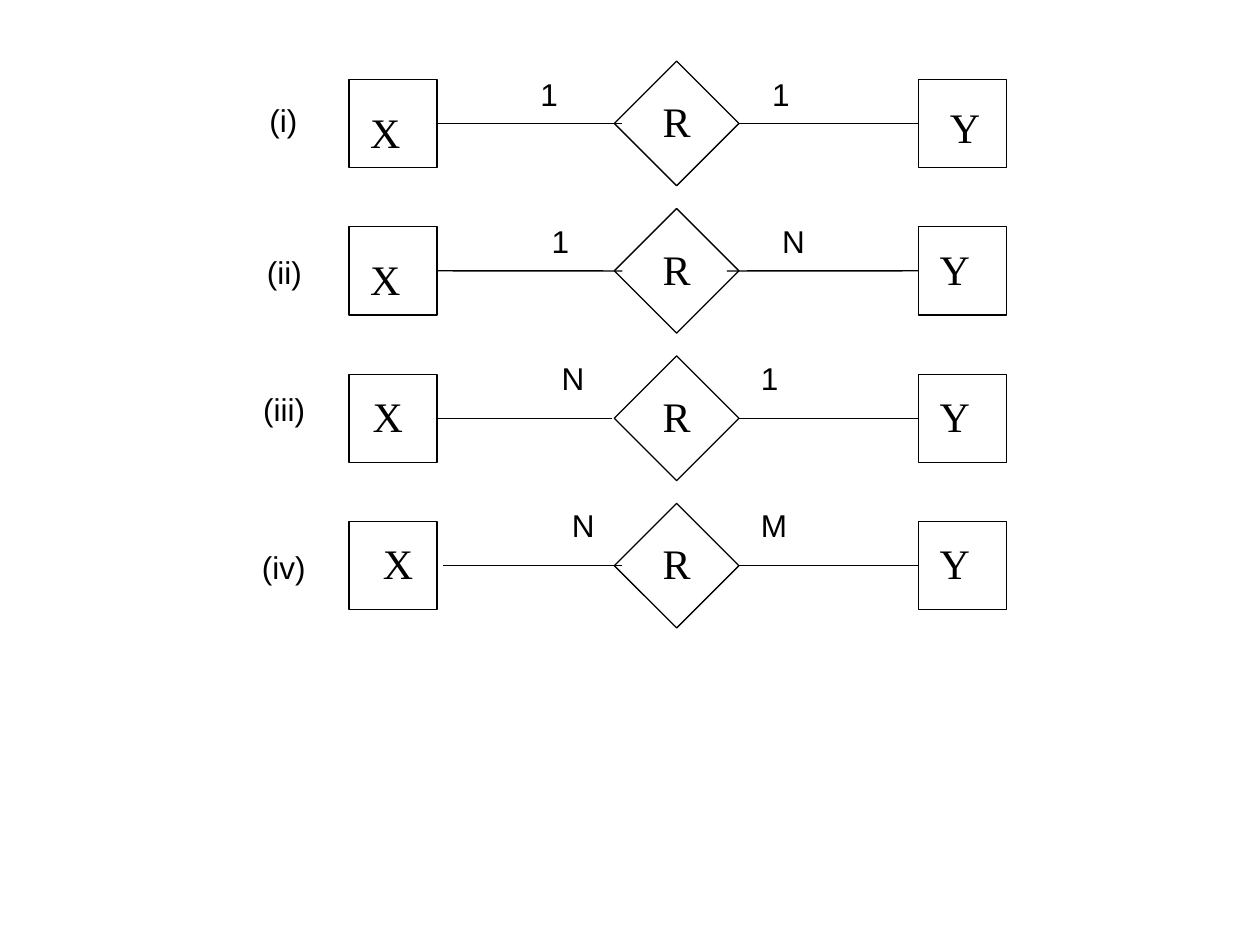
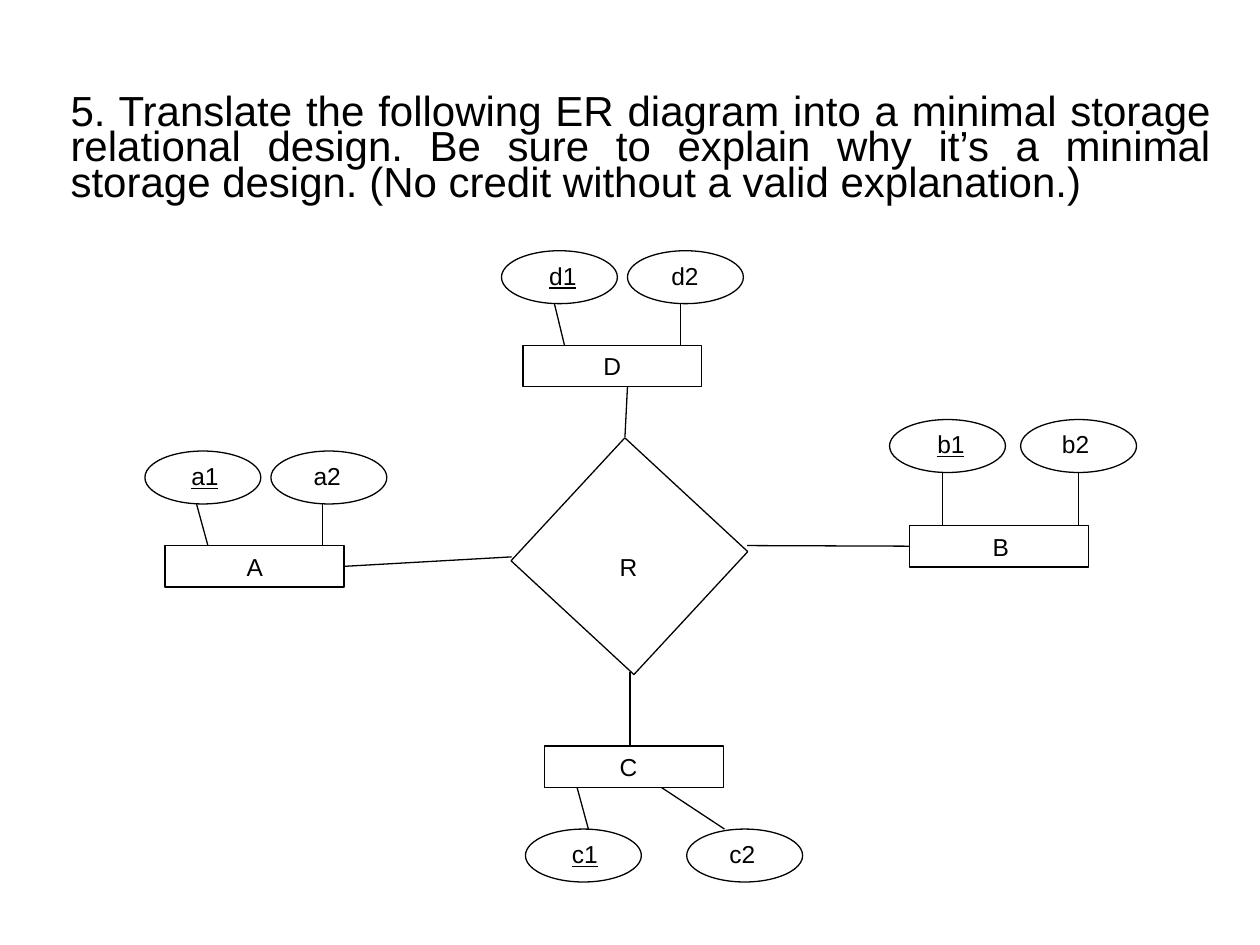
import typing

import pptx
import pptx.dml.color
import pptx.enum.shapes
import pptx.enum.text
import pptx.oxml.ns
import pptx.util
from lxml import etree

Inches = pptx.util.Inches
Kind = pptx.enum.shapes.MSO_SHAPE
Fit = pptx.enum.text.MSO_AUTO_SIZE
Align = pptx.enum.text.PP_ALIGN
Anchor = pptx.enum.text.MSO_ANCHOR

INK = "000000"
PAPER = "FFFFFF"
STROKE = pptx.util.Pt(0.75)
SERIF = {"name": "Times New Roman", "size": pptx.util.Pt(24)}
SANS = {"name": "Arial", "size": pptx.util.Pt(18)}
SMALL = {"name": "Arial", "size": pptx.util.Pt(14)}
KEY = {**SMALL, "underline": True}
HEAD = {"name": "Arial", "size": pptx.util.Pt(24), "bold": False}
FRAME = {"word_wrap": False, "auto_size": Fit.SHAPE_TO_FIT_TEXT}

SIDE = 0.7
ROW_TOP, PITCH = 0.63, 1.17
X_LEFT, R_LEFT, Y_LEFT = 2.77, 5.02, 7.29
BAR = (1.42, 0.33)
OVAL = (0.92, 0.42)
WIDTHS = {"X": 0.44, "Y": 0.44, "R": 0.42, "1": 0.34, "N": 0.38, "M": 0.41,
          "(i)": 0.42, "(ii)": 0.48, "(iii)": 0.53, "(iv)": 0.58}

Point = tuple[float, float]
Box = tuple[float, float, float, float]


class Tag(typing.NamedTuple):
    text: str
    left: float
    drop: float


class Row(typing.NamedTuple):
    number: Tag
    x: Tag
    y: Tag
    near: Tag
    far: Tag
    stop: float
    start: float
    gap: float = 0


class Field(typing.NamedTuple):
    text: str
    left: float
    shift: float
    root: float
    foot: float
    key: bool = False


class Entity(typing.NamedTuple):
    text: str
    left: float
    top: float
    shift: float
    level: float
    fields: tuple[Field, ...]


ROWS = (
    Row(Tag("(i)", 2.04, 0.12), Tag("X", 2.84, 0.17), Tag("Y", 7.44, 0.13),
        Tag("1", 4.19, -0.08), Tag("1", 6.03, -0.08), 4.94, 5.86),
    Row(Tag("(ii)", 2.02, 0.16), Tag("X", 2.84, 0.16), Tag("Y", 7.36, 0.08),
        Tag("1", 4.28, -0.09), Tag("N", 6.11, -0.09), 4.94, 5.77),
    Row(Tag("(iii)", 1.99, 0.08), Tag("X", 2.86, 0.08), Tag("Y", 7.36, 0.08),
        Tag("N", 4.36, -0.17), Tag("1", 5.94, -0.17), 4.86, 5.86),
    Row(Tag("(iv)", 1.98, 0.16), Tag("X", 2.94, 0.08), Tag("Y", 7.36, 0.08),
        Tag("N", 4.44, -0.17), Tag("M", 5.94, -0.17), 4.94, 5.86, 0.05),
)

ENTITIES = (
    Entity("A", 1.31, 4.33, 0.55, 3.58, (
        Field("a1", 1.15, 0.27, 1.56, 1.65, True),
        Field("a2", 2.15, 0.24, 2.56, 2.56))),
    Entity("B", 7.22, 4.17, 0.56, 3.33, (
        Field("b1", 7.06, 0.28, 7.48, 7.48, True),
        Field("b2", 8.1, 0.23, 8.56, 8.56))),
    Entity("C", 4.32, 5.92, 0.5, 6.58, (
        Field("c1", 4.17, 0.27, 4.67, 4.58, True),
        Field("c2", 5.45, 0.24, 5.75, 5.25))),
    Entity("D", 4.15, 2.74, 0.54, 1.99, (
        Field("d1", 3.98, 0.28, 4.4, 4.48, True),
        Field("d2", 4.98, 0.25, 5.4, 5.4))),
)

TASK = ("5. Translate the following ER diagram into a minimal storage relational "
        "design. Be sure to explain why it’s a minimal storage design. "
        "(No credit without a valid explanation.)")


def tint(code: str) -> pptx.dml.color.RGBColor:
    return pptx.dml.color.RGBColor.from_string(code)


def apply(target: typing.Any, values: dict[str, typing.Any]) -> None:
    for name, value in values.items():
        setattr(target, name, value)


def shape(slide, kind, box: Box, turn: float = 0):
    item = slide.shapes.add_shape(kind, *map(Inches, box))
    item.shadow.inherit = False
    item.rotation = turn
    item.fill.solid()
    item.fill.fore_color.rgb = tint(PAPER)
    item.line.color.rgb = tint(INK)
    item.line.width = STROKE
    return item


def write(frame, text: str, font: dict[str, typing.Any]):
    line = frame.paragraphs[0]
    run = line.add_run()
    run.text = text
    apply(run.font, font)
    run.font.color.rgb = tint(INK)
    return line


def label(slide, text: str, box: Box, font: dict[str, typing.Any]) -> None:
    frame = slide.shapes.add_textbox(*map(Inches, box)).text_frame
    apply(frame, FRAME)
    write(frame, text, font)


def small(slide, text: str, left: float, top: float, key: bool = False) -> None:
    width = 0.34 if len(text) == 1 else 0.42
    label(slide, text, (left, top, width, 0.34), KEY if key else SMALL)


def edge(slide, start: Point, end: Point, goal=None, side: int = 0) -> None:
    line = slide.shapes.add_connector(
        pptx.enum.shapes.MSO_CONNECTOR.STRAIGHT, *map(Inches, start + end))
    line.line.color.rgb = tint(INK)
    line.line.width = STROKE
    props = line._element.spPr
    etree.SubElement(props, pptx.oxml.ns.qn("a:effectLst"))
    if goal is not None:
        line.end_connect(goal, side)


def draw_row(slide, row: Row, top: float) -> None:
    left_box = shape(slide, Kind.RECTANGLE, (X_LEFT, top, SIDE, SIDE))
    shape(slide, Kind.RECTANGLE, (R_LEFT, top, SIDE, SIDE), 45)
    right_box = shape(slide, Kind.RECTANGLE, (Y_LEFT, top, SIDE, SIDE))
    for tag in (row.x, row.y, Tag("R", 5.16, 0.08)):
        label(slide, tag.text, (tag.left, top + tag.drop, WIDTHS[tag.text], 0.5), SERIF)
    mid = top + SIDE / 2
    goal = None if row.gap else left_box
    edge(slide, (row.stop, mid), (X_LEFT + SIDE + row.gap, mid), goal, 3)
    edge(slide, (row.start, mid), (Y_LEFT, mid), right_box, 1)
    for tag in (row.number, row.near, row.far):
        label(slide, tag.text, (tag.left, top + tag.drop, WIDTHS[tag.text], 0.4), SANS)


def draw_part(slide, part: Entity):
    bar = shape(slide, Kind.RECTANGLE, (part.left, part.top, *BAR))
    small(slide, part.text, part.left + part.shift, part.top)
    below = part.level > part.top
    root = part.level if below else part.level + OVAL[1]
    foot = part.top + BAR[1] if below else part.top
    for field in part.fields:
        shape(slide, Kind.OVAL, (field.left, part.level, *OVAL))
        small(slide, field.text, field.left + field.shift, part.level + 0.03, field.key)
        edge(slide, (field.root, root), (field.foot, foot))
    return bar


def draw_title(slide) -> None:
    title = slide.shapes.title
    apply(title, dict(zip(("left", "top", "width", "height"),
                          map(Inches, (0.46, 0.25, 9.25, 1.42)))))
    frame = title.text_frame
    apply(frame, {"word_wrap": True, "auto_size": Fit.NONE,
                  "vertical_anchor": Anchor.BOTTOM})
    line = write(frame, TASK, HEAD)
    apply(line, {"alignment": Align.JUSTIFY, "line_spacing": 0.7,
                 "space_before": pptx.util.Pt(6)})


def main() -> None:
    deck = pptx.Presentation()
    apply(deck, {"slide_width": Inches(10), "slide_height": Inches(7.5)})

    ratios = deck.slides.add_slide(deck.slide_layouts[6])
    for index, row in enumerate(ROWS):
        draw_row(ratios, row, ROW_TOP + index * PITCH)

    design = deck.slides.add_slide(deck.slide_layouts[5])
    draw_title(design)
    shape(design, Kind.RECTANGLE, (4.33, 3.75, 1.33, 1.33), 42.8)
    small(design, "R", 4.82, 4.33)
    bars = {part.text: draw_part(design, part) for part in ENTITIES}
    edge(design, (4.06, 4.42), (2.73, 4.5), bars["A"], 3)
    edge(design, (5.93, 4.33), (7.22, 4.33), bars["B"], 1)
    edge(design, (5, 5.33), (5, 5.92))
    edge(design, (4.98, 3.07), (4.96, 3.47))

    deck.save("out.pptx")


if __name__ == "__main__":
    main()
